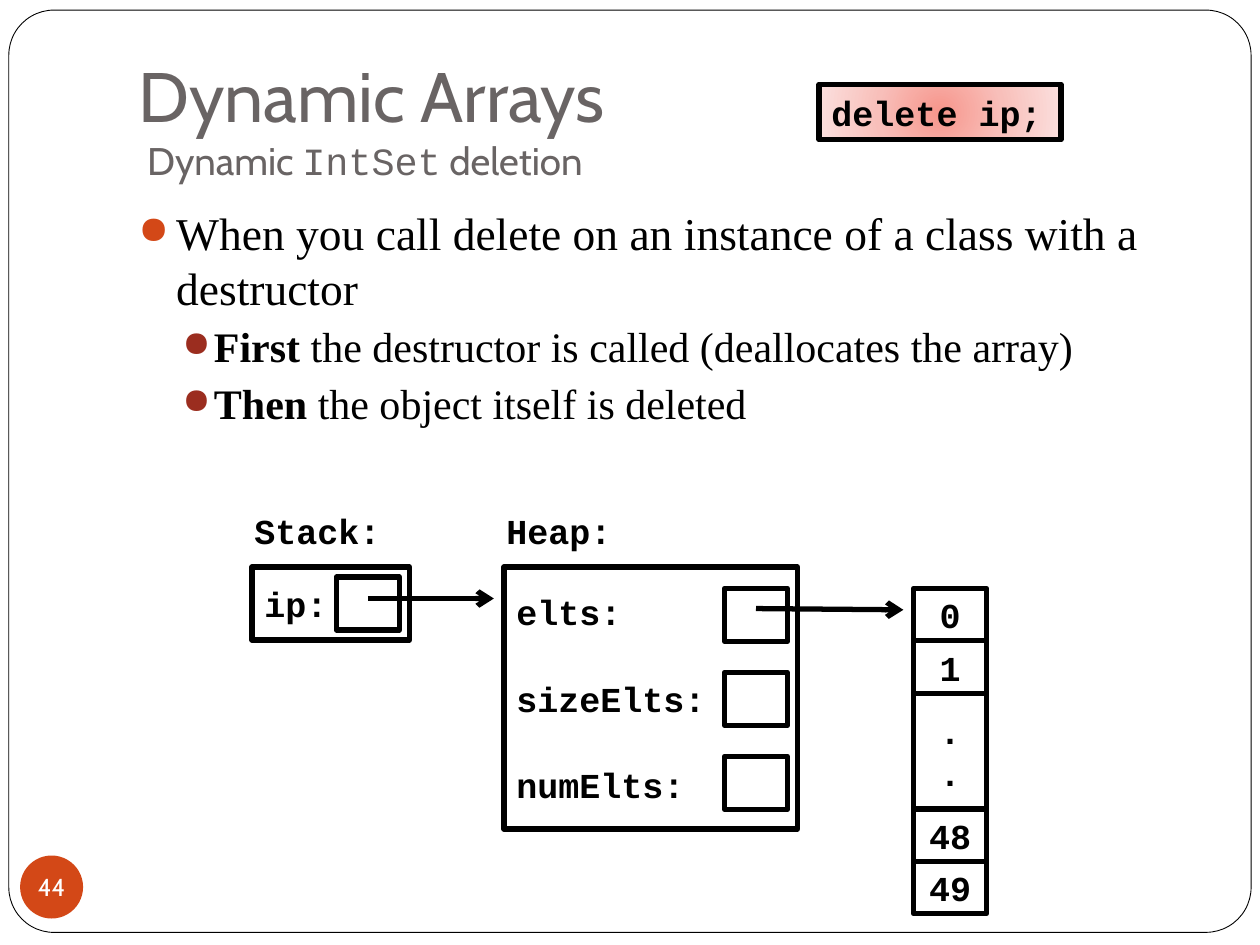
from lxml import etree
from pptx import Presentation
from pptx.dml.color import RGBColor
from pptx.enum import shapes, text
from pptx.oxml import parse_xml
from pptx.oxml.ns import qn
from pptx.util import Inches, Pt

BLACK = RGBColor(0, 0, 0)
WHITE = RGBColor(0xFF, 0xFF, 0xFF)
GRAY = RGBColor(0x69, 0x64, 0x64)
ORANGE = RGBColor(0xD3, 0x48, 0x17)
BRICK = RGBColor(0x9B, 0x2D, 0x1F)
SANS, MONO, SERIF = "Cabin", "Courier New", "Times New Roman"
CODE = dict(size=Pt(20), name=MONO, bold=True, color=BLACK)
LEFT, CENTER = text.PP_ALIGN.LEFT, text.PP_ALIGN.CENTER
RECT = shapes.MSO_SHAPE.RECTANGLE

prs = Presentation()
prs.slide_width, prs.slide_height = Inches(10), Inches(7.5)
slide = prs.slides.add_slide(prs.slide_layouts[6])


def write(paragraph, runs, align=LEFT):
    """Fill a paragraph with (wording, format) runs."""
    paragraph.alignment = align
    for wording, style in runs:
        run = paragraph.add_run()
        run.text = wording
        for key, value in style.items():
            if key == "color":
                run.font.color.rgb = value
            else:
                setattr(run.font, key, value)


def add_box(at, lines=(), kind=RECT, fill=None, line=3, align=LEFT, style=CODE):
    """Add a shape with one paragraph per line of wording."""
    box = slide.shapes.add_shape(kind, *map(Inches, at))
    box.shadow.inherit = False
    if fill is None:
        box.fill.background()
    else:
        box.fill.solid()
        box.fill.fore_color.rgb = fill
    if line:
        box.line.color.rgb = BLACK
        box.line.width = Pt(line)
    else:
        box.line.fill.background()
    frame = box.text_frame
    frame.vertical_anchor = text.MSO_ANCHOR.MIDDLE
    for i, wording in enumerate(lines):
        paragraph = frame.add_paragraph() if i else frame.paragraphs[0]
        write(paragraph, [(wording, style)], align)
    return box


# Page frame
frame = add_box((0.07, 0.08, 9.86, 7.32), kind=shapes.MSO_SHAPE.ROUNDED_RECTANGLE,
                fill=WHITE, line=0.5)
frame.adjustments[0] = 0.049

# Title and subtitle
title = slide.shapes.add_textbox(Inches(1), Inches(0.3), Inches(8.5), Inches(1.25)).text_frame
title.word_wrap = True
title.vertical_anchor = text.MSO_ANCHOR.BOTTOM
title.margin_bottom = Inches(0.1)
heading = dict(size=Pt(40), name=SANS, color=GRAY)
subtitle = dict(heading, size=Pt(22))
write(title.paragraphs[0], [("Dynamic Arrays", heading)])
second = title.add_paragraph()
write(second, [("Dynamic ", subtitle), ("IntSet", dict(subtitle, name=MONO)),
               (" deletion", subtitle)])
second._p.get_or_add_pPr().set("marL", str(Inches(0.07)))

# Slide number
number = add_box((0.16, 6.79, 0.5, 0.5), ["44"], shapes.MSO_SHAPE.OVAL, ORANGE, 0, CENTER,
                 dict(size=Pt(14), name=SANS, color=WHITE)).text_frame
number.word_wrap = False
for side in ("left", "right", "top", "bottom"):
    setattr(number, f"margin_{side}", 0)

# Bulleted explanation
body = slide.shapes.add_textbox(Inches(1), Inches(1.58), Inches(8.5), Inches(2.2)).text_frame
body.word_wrap = True
point = dict(size=Pt(26), name=SERIF, color=BLACK)
step = dict(point, size=Pt(24))
strong = dict(step, bold=True)
bullets = [
    (0, 0.3, 0.3, 5.8, ORANGE,
     [("When you call delete on an instance of a class with a destructor", point)]),
    (1, 0.6, 0.25, 3.7, BRICK,
     [("First", strong), (" the destructor is called (deallocates the array)", step)]),
    (1, 0.6, 0.25, 3.7, BRICK,
     [("Then", strong), (" the object itself is deleted", step)]),
]
for i, (level, margin, hang, before, color, runs) in enumerate(bullets):
    paragraph = body.add_paragraph() if i else body.paragraphs[0]
    write(paragraph, runs)
    paragraph.level = level
    paragraph.space_before = Pt(before)
    props = paragraph._p.get_or_add_pPr()
    props.set("marL", str(Inches(margin)))
    props.set("indent", str(-Inches(hang)))
    bullet_color = etree.SubElement(props, qn("a:buClr"))
    etree.SubElement(bullet_color, qn("a:srgbClr"), val=str(color))
    etree.SubElement(props, qn("a:buSzPct"), val="85000")
    etree.SubElement(props, qn("a:buChar"), char="●")

# Highlighted statement with a radial gradient
statement = add_box((6.5, 0.67, 1.92, 0.44), ["delete ip;"], fill=WHITE)
stops = "".join(f'<a:gs pos="{pos}"><a:srgbClr val="{color}"/></a:gs>' for pos, color in
                ((0, "F7968C"), (50000, "F8BFBA"), (100000, "FBE0DE")))
gradient = parse_xml(
    '<a:gradFill xmlns:a="http://schemas.openxmlformats.org/drawingml/2006/main">'
    f'<a:gsLst>{stops}</a:gsLst><a:path path="circle">'
    '<a:fillToRect l="50000" t="50000" r="50000" b="50000"/></a:path></a:gradFill>')
solid = statement._element.spPr.find(qn("a:solidFill"))
solid.getparent().replace(solid, gradient)

# Stack and heap headings
for x, label in ((1.92, "Stack:"), (3.92, "Heap:")):
    add_box((x, 3.92, 1.25, 0.58), [label], line=0)

# Pointer on the stack
add_box((2, 4.5, 1.25, 0.58), ["ip:"])
add_box((2.67, 4.58, 0.5, 0.42))

# Object on the heap with its three members
members = ["elts:", "sizeElts:", "numElts:"]
heap_object = add_box((4, 4.5, 2.33, 2.08), members)
for paragraph in heap_object.text_frame.paragraphs[1:]:
    paragraph.space_before = Pt(25.3)
for i in range(len(members)):
    add_box((5.75, 4.67 + i * 2 / 3, 0.5, 0.42))

# Array cells, stacked downwards
top = 4.67
for height, lines in ((5 / 12, ["0"]), (5 / 12, ["1"]), (11 / 12, [".", "."]),
                      (5 / 12, ["48"]), (5 / 12, ["49"])):
    add_box((7.25, top, 0.58, height), lines, align=CENTER)
    top += height

# Pointer arrows
for ends in ((2.92, 4.75, 3.92, 4.75), (6, 4.83, 7.17, 4.84)):
    arrow = slide.shapes.add_connector(shapes.MSO_CONNECTOR.STRAIGHT, *map(Inches, ends))
    arrow.line.color.rgb = BLACK
    arrow.line.width = Pt(3)
    etree.SubElement(arrow.line._get_or_add_ln(), qn("a:tailEnd"), type="arrow")
    etree.SubElement(arrow._element.spPr, qn("a:effectLst"))

prs.save("out.pptx")
